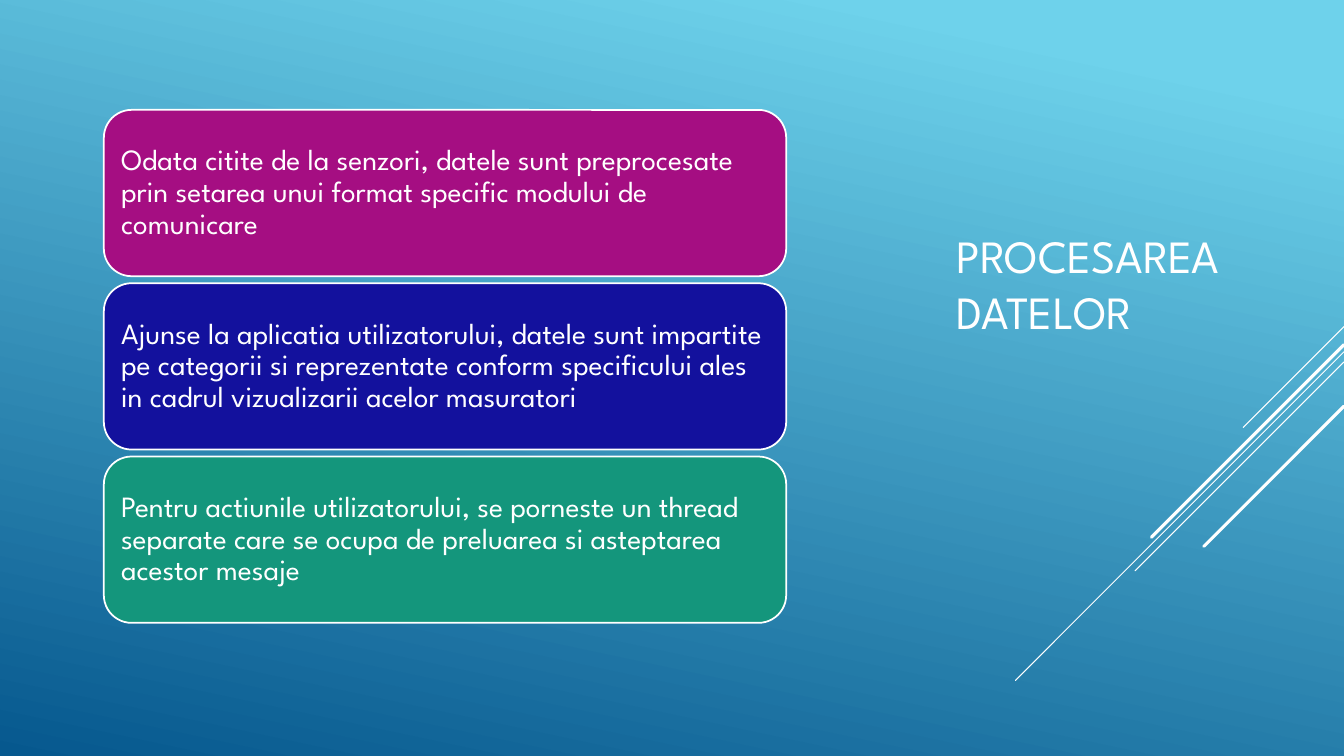
import pptx
import pptx.dml.color
import pptx.enum.shapes
import pptx.enum.text
import pptx.oxml
import pptx.util

Pt = pptx.util.Pt
SHAPE = pptx.enum.shapes.MSO_SHAPE
MIDDLE = pptx.enum.text.MSO_ANCHOR.MIDDLE
LEFT = pptx.enum.text.PP_ALIGN.LEFT

TITLE = "PROCESAREA DATELOR"
STEPS = [
    ("Odata citite de la senzori, datele sunt preprocesate prin setarea unui "
     "format specific modului de comunicare", "magenta"),
    ("Ajunse la aplicatia utilizatorului, datele sunt impartite pe categorii si "
     "reprezentate conform specificului ales in cadrul vizualizarii acelor "
     "masuratori", "blue"),
    ("Pentru actiunile utilizatorului, se porneste un thread separate care se "
     "ocupa de preluarea si asteptarea acestor mesaje", "green"),
]
DIAGONALS = [(233.3, 72, 0.75), (251.3, 234.7, 0.75), (258.5, 149.2, 0.75),
             (246.2, 137.5, 2.25), (290.2, 100.1, 2.25)]
COLORS = {"white": "FFFFFF", "sky": "6ED2EB", "deep": "06588E",
          "magenta": "A50E82", "blue": "13119D", "green": "14967C"}
FONT = "League Spartan"
WIDTH, HEIGHT = 960, 540
BOX_LEFT, BOX_TOP, BOX_WIDTH, BOX_HEIGHT, BOX_GAP = 74.2, 78.5, 487.4, 118.8, 5
TITLE_BOX = (676.1, 74.2, 239.8, 255.6)


def rgb(name):
    """Return the named colour."""
    return pptx.dml.color.RGBColor.from_string(COLORS[name])


def apply(obj, **values):
    """Set attributes of an object from the given values."""
    for name, value in values.items():
        setattr(obj, name, value)


def write(s, text, size, spacing, inset):
    """Write one left-aligned white paragraph into a shape."""
    tf = s.text_frame
    apply(tf, word_wrap=True, vertical_anchor=MIDDLE,
          margin_left=Pt(inset), margin_right=Pt(inset))
    p = tf.paragraphs[0]
    apply(p, alignment=LEFT, line_spacing=spacing)
    r = p.add_run()
    r.text = text
    apply(r.font, name=FONT, size=Pt(size))
    r.font.color.rgb = rgb("white")


def add_backdrop(slide):
    """Cover the slide with the sky gradient."""
    s = slide.shapes.add_shape(SHAPE.RECTANGLE, 0, 0, Pt(WIDTH), Pt(HEIGHT))
    s.shadow.inherit = False
    s.line.fill.background()
    s.fill.gradient()
    s.fill.gradient_angle = 258
    for stop, color, position in zip(s.fill.gradient_stops, ("sky", "deep"), (0.1, 1)):
        stop.color.rgb = rgb(color)
        stop.position = position


def add_diagonal(slide, top, run, weight):
    """Draw a 45-degree line from the right edge down to the left."""
    s = slide.shapes.add_connector(
        pptx.enum.shapes.MSO_CONNECTOR.STRAIGHT,
        Pt(WIDTH), Pt(top), Pt(WIDTH - run), Pt(top + run))
    s.line.color.rgb = rgb("white")
    s.line.width = Pt(weight)
    s.line._get_or_add_ln().set("cap", "rnd")
    s._element.spPr.append(pptx.oxml.parse_xml(
        '<a:effectLst xmlns:a="http://schemas.openxmlformats.org/drawingml/2006/main"/>'))


def add_step(slide, index, text, color):
    """Add one rounded box of the vertical list."""
    top = BOX_TOP + index * (BOX_HEIGHT + BOX_GAP)
    s = slide.shapes.add_shape(
        SHAPE.ROUNDED_RECTANGLE,
        *map(Pt, (BOX_LEFT, top, BOX_WIDTH, BOX_HEIGHT)))
    s.shadow.inherit = False
    s.fill.solid()
    s.fill.fore_color.rgb = rgb(color)
    s.line.color.rgb = rgb("white")
    s.line.width = Pt(1.25)
    write(s, text, 21, 0.9, 6.5)


def main():
    """Build the data processing slide."""
    prs = pptx.Presentation()
    apply(prs, slide_width=Pt(WIDTH), slide_height=Pt(HEIGHT))
    slide = prs.slides.add_slide(prs.slide_layouts[6])
    add_backdrop(slide)
    for diagonal in DIAGONALS:
        add_diagonal(slide, *diagonal)
    write(slide.shapes.add_textbox(*map(Pt, TITLE_BOX)), TITLE, 33, 1.0, 7.2)
    for index, step in enumerate(STEPS):
        add_step(slide, index, *step)
    prs.save("out.pptx")


if __name__ == "__main__":
    main()
